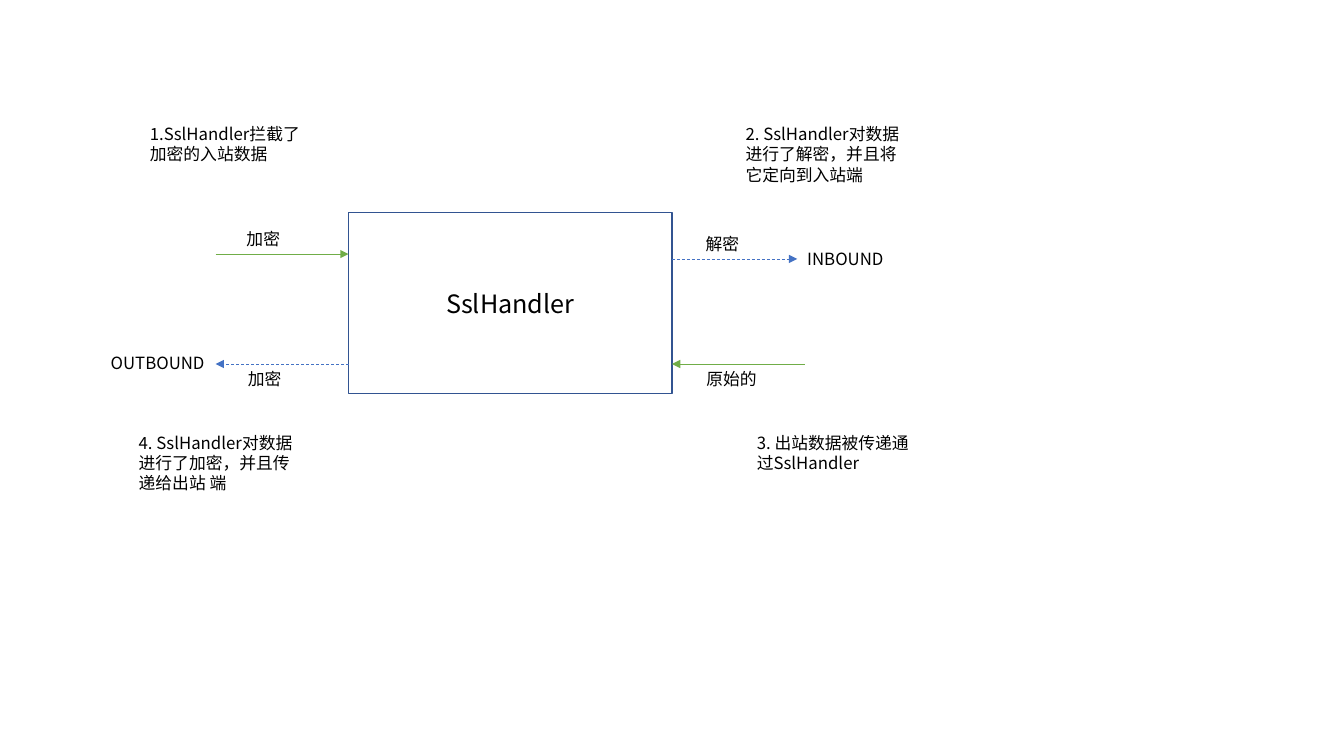
from pptx import Presentation
from pptx.dml.color import RGBColor
from pptx.enum.dml import MSO_LINE
from pptx.enum.shapes import MSO_CONNECTOR, MSO_SHAPE
from pptx.enum.text import MSO_ANCHOR, MSO_AUTO_SIZE, PP_ALIGN
from pptx.oxml.ns import qn
from pptx.util import Pt
from lxml.etree import SubElement

FONT = "Noto Sans CJK SC"
COLORS = {
    "background": "FFFFFF",
    "text": "000000",
    "border": "325491",
    "incoming": "70AD47",
    "outgoing": "4472C4",
}


def color(key):
    return RGBColor.from_string(COLORS[key])


def write(frame, text, size=12, align=PP_ALIGN.LEFT, anchor=MSO_ANCHOR.TOP):
    frame.word_wrap = True
    frame.vertical_anchor = anchor
    paragraph = frame.paragraphs[0]
    paragraph.alignment = align
    run = paragraph.add_run()
    run.text = text
    run.font.size = Pt(size)
    run.font.name = FONT
    run.font.color.rgb = color("text")
    SubElement(run._r.get_or_add_rPr(), qn("a:ea"), typeface=FONT)


prs = Presentation()
prs.slide_width, prs.slide_height = Pt(960), Pt(540)
slide = prs.slides.add_slide(prs.slide_layouts[6])

# Handler in the middle
left, top, width, height = 249, 152, 231, 129
right = left + width
handler = slide.shapes.add_shape(
    MSO_SHAPE.RECTANGLE, Pt(left), Pt(top), Pt(width), Pt(height))
handler.shadow.inherit = False
handler.fill.solid()
handler.fill.fore_color.rgb = color("background")
handler.line.color.rgb = color("border")
handler.line.width = Pt(1)
write(handler.text_frame, "SslHandler", size=18,
      align=PP_ALIGN.CENTER, anchor=MSO_ANCHOR.MIDDLE)

# Data flows: start x, end x, y, direction seen from the handler
flows = [
    (154, left, 181.5, "incoming"),
    (left, 154, 260, "outgoing"),
    (575, right, 260, "incoming"),
    (right, 569.5, 185, "outgoing"),
]
for start, end, y, direction in flows:
    flow = slide.shapes.add_connector(
        MSO_CONNECTOR.STRAIGHT, Pt(start), Pt(y), Pt(end), Pt(y))
    flow.line.color.rgb = color(direction)
    flow.line.width = Pt(0.5)
    if direction == "outgoing":
        flow.line.dash_style = MSO_LINE.DASH
    SubElement(flow.line._get_or_add_ln(), qn("a:tailEnd"), type="triangle")
    SubElement(flow._element.spPr, qn("a:effectLst"))

# Step notes, end points and flow labels: left, top, height, text
labels = [
    (100, 85, 36, "1.SslHandler拦截了加密的入站数据"),
    (525.5, 85, 51, "2. SslHandler对数据进行了解密，并且将它定向到入站端"),
    (533.5, 305.5, 36, "3. 出站数据被传递通过SslHandler"),
    (92, 305.5, 51, "4. SslHandler对数据进行了加密，并且传递给出站 端"),
    (72, 248.5, 21.8, "OUTBOUND"),
    (569.5, 174, 21.8, "INBOUND"),
    (169, 160, 21.8, "加密"),
    (170, 260, 21.8, "加密"),
    (497, 163.5, 21.8, "解密"),
    (497.5, 260, 21.8, "原始的"),
]
for x, y, label_height, text in labels:
    label = slide.shapes.add_textbox(Pt(x), Pt(y), Pt(124), Pt(label_height))
    label.text_frame.auto_size = MSO_AUTO_SIZE.SHAPE_TO_FIT_TEXT
    write(label.text_frame, text)

prs.save("out.pptx")
